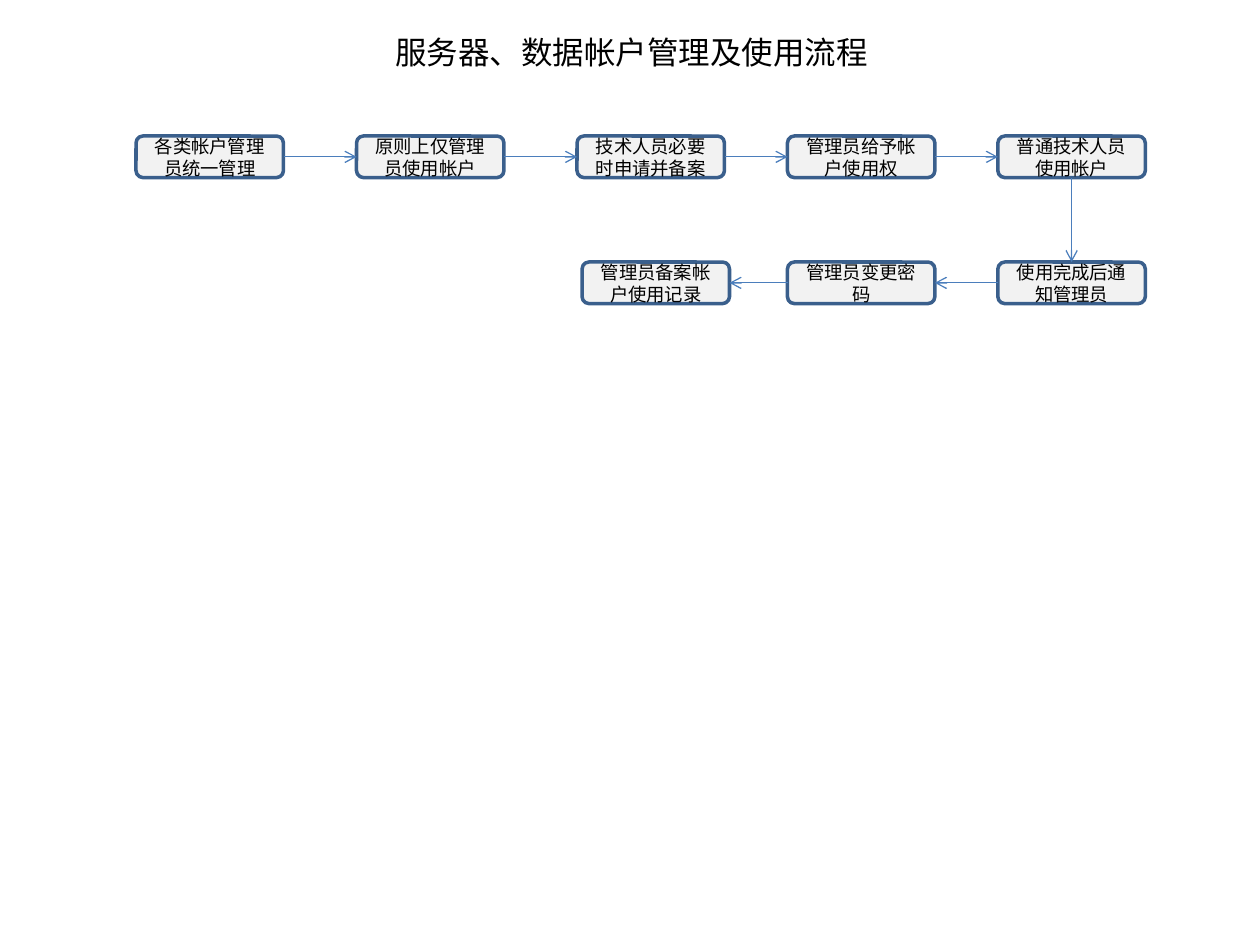
from lxml import etree
from pptx import Presentation, util as u
from pptx.dml.color import RGBColor
from pptx.enum import shapes, text
from pptx.oxml.ns import qn

# Content: steps in flow order as (text, left, row)
TITLE = "服务器、数据帐户管理及使用流程"
STEPS = [
    ("各类帐户管理员统一管理", 1.08, 0),
    ("原则上仅管理员使用帐户", 2.83, 0),
    ("技术人员必要时申请并备案", 4.58, 0),
    ("管理员给予帐户使用权", 6.25, 0),
    ("普通技术人员使用帐户", 7.92, 0),
    ("使用完成后通知管理员", 7.92, 1),
    ("管理员变更密码", 6.25, 1),
    ("管理员备案帐户使用记录", 4.62, 1),
]
TOP, PITCH, WIDE, HIGH = 1.08, 1, 1.17, 0.33

THEME = {
    "fill": RGBColor.from_string("F2F2F2"),
    "edge": RGBColor.from_string("3A5F8C"),
    "arrow": RGBColor.from_string("4B7EBC"),
    "ink": RGBColor.from_string("000000"),
    "font": "Calibri", "title": 18, "step": 10.5,
}


def write(frame, words, size, align):
    para = frame.paragraphs[0]
    para.alignment = align
    run = para.add_run()
    run.text = words
    for key, val in {"name": THEME["font"], "size": u.Pt(size)}.items():
        setattr(run.font, key, val)
    run.font.color.rgb = THEME["ink"]


def add_step(slide, words, left, row):
    box = slide.shapes.add_shape(
        shapes.MSO_SHAPE.ROUNDED_RECTANGLE, u.Inches(left),
        u.Inches(TOP + row * PITCH), u.Inches(WIDE), u.Inches(HIGH))
    box.shadow.inherit = False
    box.fill.solid()
    box.fill.fore_color.rgb = THEME["fill"]
    box.line.color.rgb = THEME["edge"]
    box.line.width = u.Pt(2)
    frame = box.text_frame
    form = {"word_wrap": True, "vertical_anchor": text.MSO_ANCHOR.MIDDLE}
    for key, val in form.items():
        setattr(frame, key, val)
    write(frame, words, THEME["step"], text.PP_ALIGN.CENTER)
    return box


def join(slide, start, end):
    # Sides: 0 top, 1 left, 2 bottom, 3 right
    if start.top != end.top:
        out, into = 2, 0
    elif start.left < end.left:
        out, into = 3, 1
    else:
        out, into = 1, 3
    link = slide.shapes.add_connector(shapes.MSO_CONNECTOR.STRAIGHT, 0, 0, 0, 0)
    link.begin_connect(start, out)
    link.end_connect(end, into)
    link.line.color.rgb = THEME["arrow"]
    link.line.width = u.Pt(0.75)
    etree.SubElement(link.line._get_or_add_ln(), qn("a:tailEnd"), type="arrow")
    etree.SubElement(link._element.spPr, qn("a:effectLst"))


def main():
    deck = Presentation()
    deck.slide_width, deck.slide_height = u.Inches(10), u.Inches(7.5)
    slide = deck.slides.add_slide(deck.slide_layouts[6])

    # Title
    head = slide.shapes.add_textbox(
        u.Inches(3.04), u.Inches(0.21), u.Inches(3.96), u.Inches(0.4))
    frame = head.text_frame
    form = {"word_wrap": True, "auto_size": text.MSO_AUTO_SIZE.SHAPE_TO_FIT_TEXT}
    for key, val in form.items():
        setattr(frame, key, val)
    write(frame, TITLE, THEME["title"], text.PP_ALIGN.LEFT)

    # Steps, then an arrow from each to the next
    boxes = [add_step(slide, *step) for step in STEPS]
    for start, end in zip(boxes, boxes[1:]):
        join(slide, start, end)

    deck.save("out.pptx")


if __name__ == "__main__":
    main()
